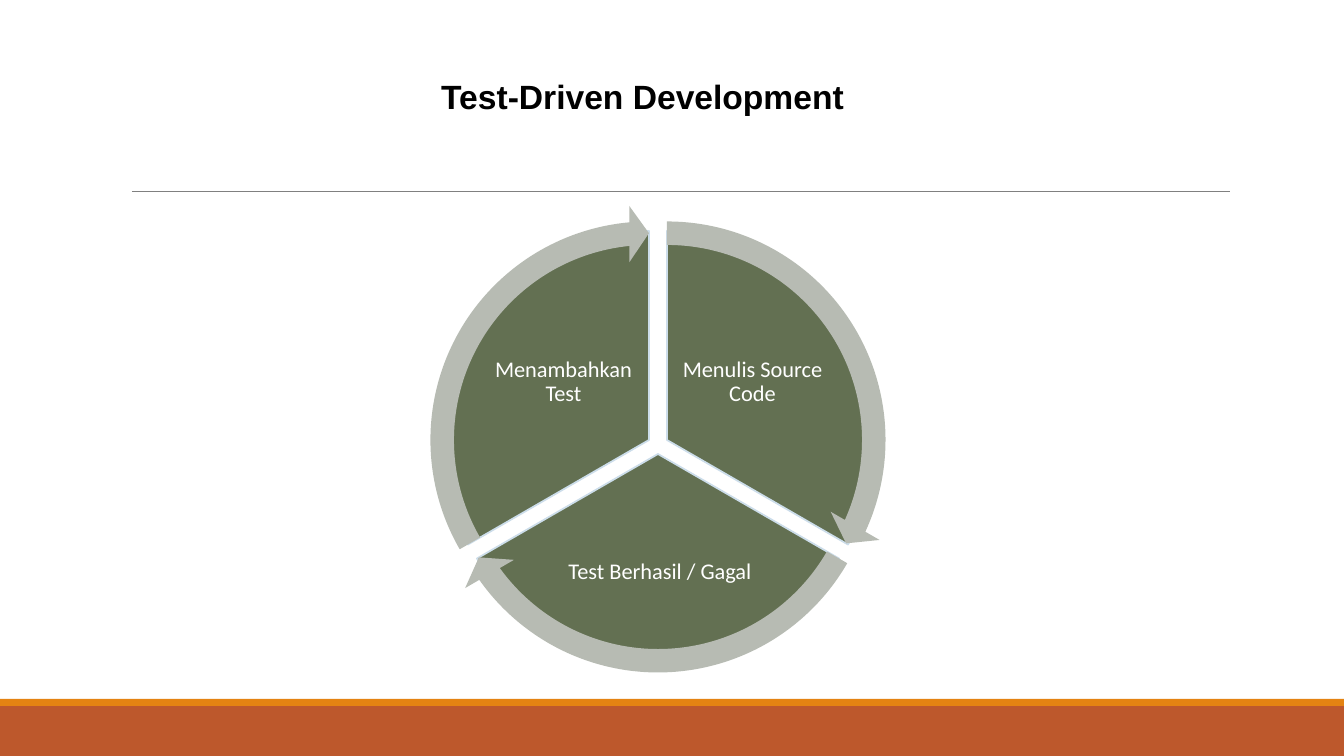
from pptx import Presentation
from pptx.dml.color import RGBColor
from pptx.enum.shapes import MSO_CONNECTOR, MSO_SHAPE as SHAPE
from pptx.enum.text import MSO_ANCHOR as ANCHOR, PP_ALIGN as ALIGN
from pptx.oxml.ns import qn
from pptx.util import Emu, Pt
from lxml.etree import SubElement

BLACK = RGBColor(0x00, 0x00, 0x00)
WHITE = RGBColor(0xFF, 0xFF, 0xFF)
RUST = RGBColor(0xBD, 0x58, 0x2C)
ORANGE = RGBColor(0xE4, 0x83, 0x12)
GREY = RGBColor(0x80, 0x80, 0x80)
GREEN = RGBColor(0x63, 0x70, 0x52)
PALE_BLUE = RGBColor(0xCC, 0xDD, 0xEA)
PALE_GREEN = RGBColor(0xB7, 0xBB, 0xB3)

WIDTH, HEIGHT = 1344, 756
EMU_PER_PX = 12192000 / WIDTH
ADJ_PER_DEGREE = 0.6

PIE_SIZE, ARROW_SIZE = 418, 470
ARROW_THICKNESS, ARROW_HEAD, ARROW_HEAD_WIDTH = 0.05, 3.28, 0.06

# Step name, centre, start and end angle, label box
STEPS = [
    ("Menulis Source Code", (667, 440), (270, 30), (678, 320, 149, 125)),
    ("Test Berhasil / Gagal", (658, 454), (30, 150), (548, 517, 224, 110)),
    ("Menambahkan Test", (649, 440), (150, 270), (489, 320, 149, 125)),
]


def px(n):
    return Emu(round(n * EMU_PER_PX))


def around(centre, size):
    x, y = centre
    return x - size // 2, y - size // 2, size, size


class Deck:
    def __init__(self):
        self.prs = Presentation()
        self.prs.slide_width, self.prs.slide_height = px(WIDTH), px(HEIGHT)
        self.slide = self.prs.slides.add_slide(self.prs.slide_layouts[6])

    def shape(self, kind, box, fill, line=None, adjustments=()):
        sp = self.slide.shapes.add_shape(kind, *map(px, box))
        sp.shadow.inherit = False
        sp.fill.solid()
        sp.fill.fore_color.rgb = fill
        if line is None:
            sp.line.fill.background()
        else:
            sp.line.color.rgb = line
            sp.line.width = Pt(1.25)
        for i, value in enumerate(adjustments):
            sp.adjustments[i] = value

    def rule(self, x1, x2, y):
        ln = self.slide.shapes.add_connector(
            MSO_CONNECTOR.STRAIGHT, px(x1), px(y), px(x2), px(y))
        ln.line.color.rgb = GREY
        ln.line.width = Pt(0.5)
        SubElement(ln._element.spPr, qn("a:effectLst"))

    def text(self, text, box, font, size, color, bold=False,
             anchor=ANCHOR.TOP, spacing=1.0, inset=None):
        sp = self.slide.shapes.add_textbox(*map(px, box))
        tf = sp.text_frame
        tf.word_wrap = True
        tf.vertical_anchor = anchor
        if inset is not None:
            tf.margin_left = tf.margin_right = px(inset)
            tf.margin_top = tf.margin_bottom = px(inset)
        tf.text = text
        p = tf.paragraphs[0]
        p.alignment = ALIGN.CENTER
        p.line_spacing = spacing
        r = p.runs[0]
        r.font.name, r.font.size = font, Pt(size)
        r.font.bold, r.font.color.rgb = bold, color


def main():
    deck = Deck()

    # Footer bars, title and rule
    deck.shape(SHAPE.RECTANGLE, (0, 706, WIDTH, 50), RUST)
    deck.shape(SHAPE.RECTANGLE, (0, 699, WIDTH, 7), ORANGE)
    deck.rule(132, 1230, 191)
    deck.text("Test-Driven Development", (321, 71, 643, 95),
              "Arial", 24, BLACK, bold=True)

    # Cycle segments with their labels
    for name, centre, angles, label_box in STEPS:
        deck.shape(SHAPE.PIE, around(centre, PIE_SIZE), GREEN, PALE_BLUE,
                   [a * ADJ_PER_DEGREE for a in angles])
        deck.text(name, label_box, "Calibri", 16, WHITE,
                  anchor=ANCHOR.MIDDLE, spacing=0.9, inset=2)

    # Arrows around the segments
    for _, centre, angles, _ in STEPS:
        start, end = (a * ADJ_PER_DEGREE for a in angles)
        deck.shape(SHAPE.CIRCULAR_ARROW, around(centre, ARROW_SIZE), PALE_GREEN,
                   adjustments=[ARROW_THICKNESS, ARROW_HEAD, end - ARROW_HEAD,
                                start, ARROW_HEAD_WIDTH])

    deck.prs.save("out.pptx")


if __name__ == "__main__":
    main()
